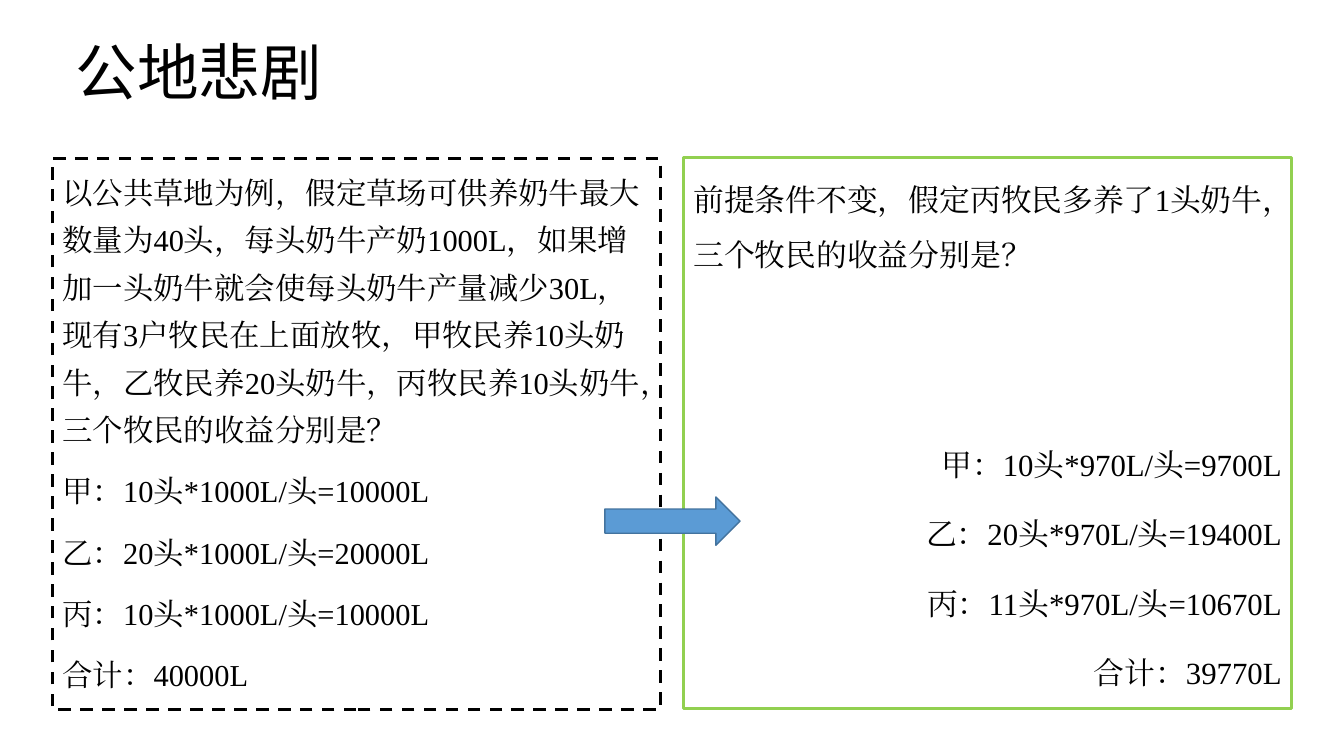
from lxml import etree
from pptx import Presentation
from pptx.dml.color import RGBColor
from pptx.enum.dml import MSO_LINE
from pptx.enum.shapes import MSO_SHAPE
from pptx.enum.text import MSO_ANCHOR, PP_ALIGN
from pptx.oxml.ns import qn
from pptx.util import Inches, Pt

COLORS = {"text": "000000", "paper": "FFFFFF", "after": "92D050",
          "arrow": "5B9BD5", "arrow_edge": "43739E"}
TITLE_FONT = "Noto Sans CJK SC"
BODY_FONT = "Times New Roman"


def color(name):
    return RGBColor.from_string(COLORS[name])


def write(paragraph, text, size, font_name, spacing):
    """Fill a paragraph, using one font for Latin and Chinese text."""
    run = paragraph.add_run()
    run.text = text
    paragraph.line_spacing = spacing
    paragraph.font.size = Pt(size)
    paragraph.font.name = font_name
    paragraph.font.color.rgb = color("text")
    east_asian = etree.SubElement(run._r.get_or_add_rPr(), qn("a:ea"))
    east_asian.set("typeface", font_name)


prs = Presentation()
prs.slide_width, prs.slide_height = Inches(13.33), Inches(7.5)
slide = prs.slides.add_slide(prs.slide_layouts[6])

title = slide.shapes.add_textbox(Inches(0.65), Inches(0.14), Inches(11.5), Inches(1.22))
title.fill.solid()
title.fill.fore_color.rgb = color("paper")
title.text_frame.word_wrap = True
title.text_frame.vertical_anchor = MSO_ANCHOR.MIDDLE
write(title.text_frame.paragraphs[0], "公地悲剧", 44, TITLE_FONT, 0.9)

before_question = (
    "以公共草地为例，假定草场可供养奶牛最大数量为40头，每头奶牛产奶1000L，"
    "如果增加一头奶牛就会使每头奶牛产量减少30L，现有3户牧民在上面放牧，"
    "甲牧民养10头奶牛，乙牧民养20头奶牛，丙牧民养10头奶牛，三个牧民的收益分别是？")
before_yields = ["甲：10头*1000L/头=10000L", "乙：20头*1000L/头=20000L",
                 "丙：10头*1000L/头=10000L", "合计：40000L"]
after_question = "前提条件不变，假定丙牧民多养了1头奶牛，三个牧民的收益分别是？"
after_yields = ["甲：10头*970L/头=9700L", "乙：20头*970L/头=19400L",
                "丙：11头*970L/头=10670L", "合计：39770L"]

# left, top, border colour, dash, size, line spacing, gap before yields, alignment, texts
scenarios = [
    (0.52, 1.57, "text", MSO_LINE.DASH, 21.7, 1.3, 10, PP_ALIGN.LEFT,
     before_question, before_yields),
    (6.78, 1.56, "after", MSO_LINE.SOLID, 22, 1.5, 110, PP_ALIGN.RIGHT,
     after_question, after_yields),
]
for left, top, border, dash, size, spacing, gap, align, question, yields in scenarios:
    scenario = slide.shapes.add_textbox(Inches(left), Inches(top), Inches(6.03), Inches(5.47))
    scenario.line.color.rgb = color(border)
    scenario.line.width = Pt(2.25)
    scenario.line.dash_style = dash
    frame = scenario.text_frame
    frame.word_wrap = True
    write(frame.paragraphs[0], question, size, BODY_FONT, spacing)
    for index, herder_yield in enumerate(yields):
        paragraph = frame.add_paragraph()
        paragraph.alignment = align
        paragraph.space_before = Pt(10 if index else gap)
        write(paragraph, herder_yield, size, BODY_FONT, spacing)

arrow = slide.shapes.add_shape(MSO_SHAPE.RIGHT_ARROW, Inches(6), Inches(4.93),
                               Inches(1.34), Inches(0.48))
arrow.shadow.inherit = False
arrow.fill.solid()
arrow.fill.fore_color.rgb = color("arrow")
arrow.line.color.rgb = color("arrow_edge")
arrow.line.width = Pt(1)

prs.save("out.pptx")
